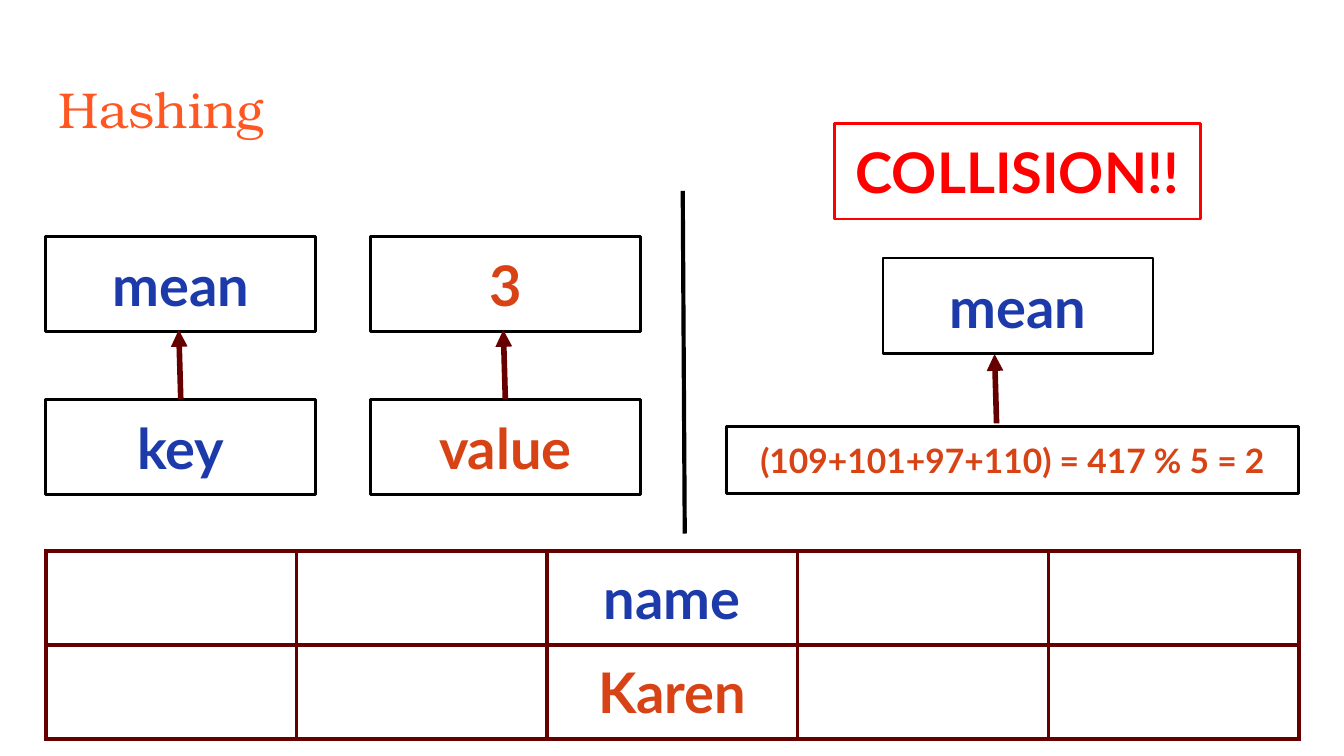
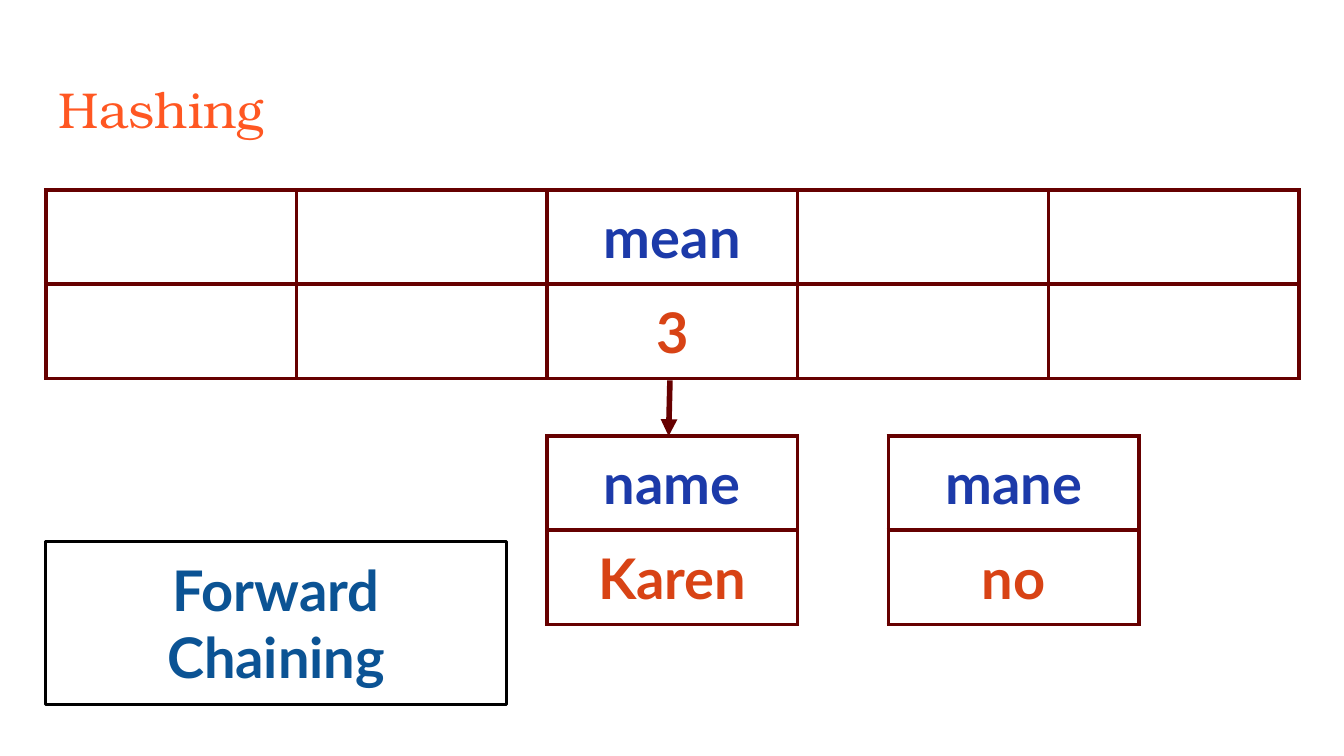
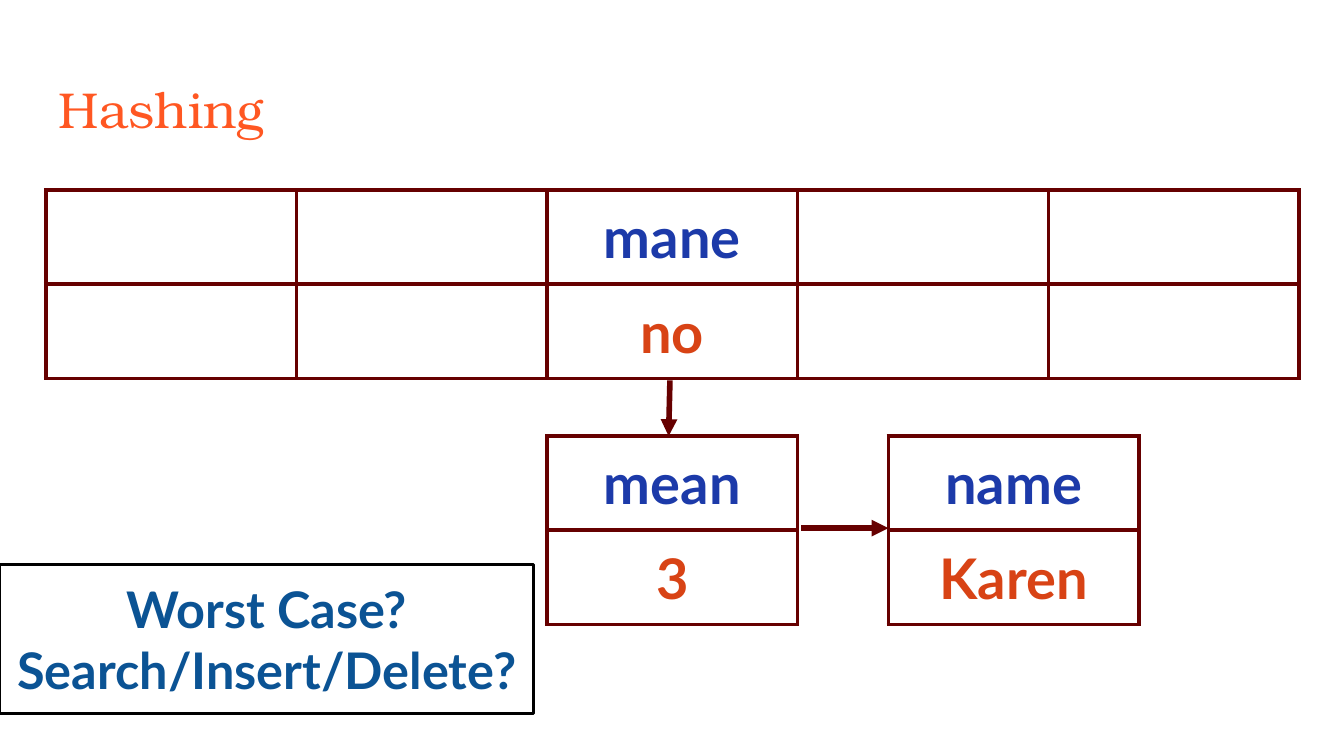
from dataclasses import dataclass
from typing import Optional

import lxml.etree
import pptx
import pptx.dml.color
import pptx.enum.shapes
import pptx.enum.text
import pptx.oxml.ns
import pptx.presentation
import pptx.slide
import pptx.table
import pptx.text.text
import pptx.util

PX = 4572
SLIDE_WIDTH, SLIDE_HEIGHT = 2000, 1125
MARGIN = 68
INSET = 20
BUCKET_COUNT = 5
FILLED_BUCKET = 2
BUCKET_WIDTH, ROW_HEIGHT = 373, 140
BOX_WIDTH, BOX_HEIGHT = 402, 142
TABLE_TOP, CHAIN_TOP = 283, 649

BODY_FONT = "Lato"
TITLE_FONT = "TeX Gyre Bonum"

ORANGE = pptx.dml.color.RGBColor(0xFF, 0x57, 0x22)
KEY_BLUE = pptx.dml.color.RGBColor(0x1C, 0x3A, 0xA9)
VALUE_RUST = pptx.dml.color.RGBColor(0xD8, 0x43, 0x15)
TOPIC_BLUE = pptx.dml.color.RGBColor(0x0B, 0x53, 0x94)
MAROON = pptx.dml.color.RGBColor(0x66, 0x00, 0x00)
RED = pptx.dml.color.RGBColor(0xFF, 0x00, 0x00)
BLACK = pptx.dml.color.RGBColor(0x00, 0x00, 0x00)


@dataclass(frozen=True)
class Box:
    lines: tuple[str, ...]
    left: int
    top: int
    color: pptx.dml.color.RGBColor
    width: int = BOX_WIDTH
    height: int = BOX_HEIGHT
    size: int = 30
    border: pptx.dml.color.RGBColor = BLACK


@dataclass(frozen=True)
class Stroke:
    start: tuple[int, int]
    end: tuple[int, int]
    color: pptx.dml.color.RGBColor = MAROON
    weight: float = 3
    arrow: bool = True


@dataclass(frozen=True)
class Entry:
    key: str
    value: str


@dataclass(frozen=True)
class Buckets:
    left: int
    top: int
    entries: tuple[Optional[Entry], ...]


def px(length: int) -> pptx.util.Emu:
    return pptx.util.Emu(length * PX)


def write_line(paragraph: pptx.text.text._Paragraph, text: str, size: int,
               color: pptx.dml.color.RGBColor, font: str = BODY_FONT,
               bold: bool = True) -> None:
    run = paragraph.add_run()
    run.text = text
    run.font.size = pptx.util.Pt(size)
    run.font.name = font
    run.font.bold = bold
    run.font.color.rgb = color


def prepare_frame(frame: pptx.text.text.TextFrame) -> None:
    frame.word_wrap = True
    frame.vertical_anchor = pptx.enum.text.MSO_ANCHOR.MIDDLE
    frame.margin_left = frame.margin_right = px(INSET)
    frame.margin_top = frame.margin_bottom = px(INSET)


def draw_title(slide: pptx.slide.Slide, text: str) -> None:
    title = slide.shapes.add_textbox(
        px(MARGIN), px(99), px(SLIDE_WIDTH - 2 * MARGIN), px(126))
    prepare_frame(title.text_frame)
    write_line(title.text_frame.paragraphs[0], text, 27, ORANGE, TITLE_FONT, False)


def draw_box(slide: pptx.slide.Slide, box: Box) -> None:
    shape = slide.shapes.add_shape(
        pptx.enum.shapes.MSO_SHAPE.RECTANGLE,
        px(box.left), px(box.top), px(box.width), px(box.height))
    shape.shadow.inherit = False
    shape.fill.background()
    shape.line.color.rgb = box.border
    shape.line.width = pptx.util.Pt(1.5)
    frame = shape.text_frame
    prepare_frame(frame)
    frame.auto_size = pptx.enum.text.MSO_AUTO_SIZE.SHAPE_TO_FIT_TEXT
    for index, line in enumerate(box.lines):
        paragraph = frame.add_paragraph() if index else frame.paragraphs[0]
        paragraph.alignment = pptx.enum.text.PP_ALIGN.CENTER
        write_line(paragraph, line, box.size, box.color)


def draw_stroke(slide: pptx.slide.Slide, stroke: Stroke) -> None:
    connector = slide.shapes.add_connector(
        pptx.enum.shapes.MSO_CONNECTOR.STRAIGHT,
        *map(px, stroke.start + stroke.end))
    connector.line.color.rgb = stroke.color
    connector.line.width = pptx.util.Pt(stroke.weight)
    properties = connector._element.spPr
    if stroke.arrow:
        lxml.etree.SubElement(properties.get_or_add_ln(),
                              pptx.oxml.ns.qn("a:tailEnd"), type="triangle")
    lxml.etree.SubElement(properties, pptx.oxml.ns.qn("a:effectLst"))


def add_cell_borders(cell: pptx.table._Cell) -> None:
    properties = cell._tc.get_or_add_tcPr()
    for side in ("a:lnL", "a:lnR", "a:lnT", "a:lnB"):
        edge = lxml.etree.SubElement(properties, pptx.oxml.ns.qn(side),
                                     w=str(int(pptx.util.Pt(2.25))))
        fill = lxml.etree.SubElement(edge, pptx.oxml.ns.qn("a:solidFill"))
        lxml.etree.SubElement(fill, pptx.oxml.ns.qn("a:srgbClr"), val=str(MAROON))


def draw_buckets(slide: pptx.slide.Slide, buckets: Buckets) -> None:
    count = len(buckets.entries)
    table = slide.shapes.add_table(
        2, count, px(buckets.left), px(buckets.top),
        px(count * BUCKET_WIDTH), px(2 * ROW_HEIGHT)).table
    table.first_row = table.horz_banding = False
    for row in table.rows:
        row.height = px(ROW_HEIGHT)
    for index, entry in enumerate(buckets.entries):
        table.columns[index].width = px(BUCKET_WIDTH)
        key_cell, value_cell = table.cell(0, index), table.cell(1, index)
        for cell in (key_cell, value_cell):
            add_cell_borders(cell)
            cell.fill.background()
            cell.margin_left = cell.margin_right = px(INSET)
            cell.margin_top = cell.margin_bottom = px(INSET)
        if entry is None:
            continue
        for cell, text, color in ((key_cell, entry.key, KEY_BLUE),
                                  (value_cell, entry.value, VALUE_RUST)):
            paragraph = cell.text_frame.paragraphs[0]
            paragraph.alignment = pptx.enum.text.PP_ALIGN.CENTER
            write_line(paragraph, text, 30, color)


def hash_table(top: int, entry: Entry) -> Buckets:
    entries = tuple(entry if index == FILLED_BUCKET else None
                    for index in range(BUCKET_COUNT))
    return Buckets(MARGIN, top, entries)


def add_hashing_slide(deck: pptx.presentation.Presentation) -> pptx.slide.Slide:
    slide = deck.slides.add_slide(deck.slide_layouts[6])
    draw_title(slide, "Hashing")
    return slide


def build_collision(deck: pptx.presentation.Presentation) -> None:
    slide = add_hashing_slide(deck)
    for left, example, role, color in ((MARGIN, "mean", "key", KEY_BLUE),
                                       (551, "3", "value", VALUE_RUST)):
        draw_box(slide, Box((example,), left, 352, color))
        draw_box(slide, Box((role,), left, 594, color))
        middle = left + BOX_WIDTH // 2
        draw_stroke(slide, Stroke((middle, 594), (middle - 3, 491)))
    draw_buckets(slide, hash_table(820, Entry("name", "Karen")))
    draw_stroke(slide, Stroke((1016, 284), (1019, 794), BLACK, 2.25, False))
    draw_box(slide, Box(("COLLISION!!",), 1242, 184, RED, width=544, border=RED))
    draw_stroke(slide, Stroke((1483, 630), (1480, 527)))
    draw_box(slide, Box(("(109+101+97+110) = 417 % 5 = 2",), 1081, 635, VALUE_RUST,
                        width=851, height=100, size=18))
    draw_box(slide, Box(("mean",), 1314, 384, KEY_BLUE))


def build_chain(deck: pptx.presentation.Presentation, head: Entry,
                second: Entry, third: Entry, linked: bool, topic: Box) -> None:
    slide = add_hashing_slide(deck)
    draw_buckets(slide, hash_table(TABLE_TOP, head))
    for left, entry in ((814, second), (1322, third)):
        draw_buckets(slide, Buckets(left, CHAIN_TOP, (entry,)))
    draw_stroke(slide, Stroke((997, 566), (995, CHAIN_TOP)))
    if linked:
        draw_stroke(slide, Stroke((1192, 786), (1322, 786)))
    draw_box(slide, topic)


def main() -> None:
    deck = pptx.Presentation()
    deck.slide_width, deck.slide_height = px(SLIDE_WIDTH), px(SLIDE_HEIGHT)
    mean, name, mane = Entry("mean", "3"), Entry("name", "Karen"), Entry("mane", "no")
    build_collision(deck)
    build_chain(deck, mean, name, mane, False,
                Box(("Forward Chaining",), MARGIN, 806, TOPIC_BLUE,
                    width=686, height=242))
    build_chain(deck, mane, mean, name, True,
                Box(("Worst Case?", "Search/Insert/Delete?"), 0, 840, TOPIC_BLUE,
                    width=794, height=222, size=27))
    deck.save("out.pptx")


if __name__ == "__main__":
    main()
